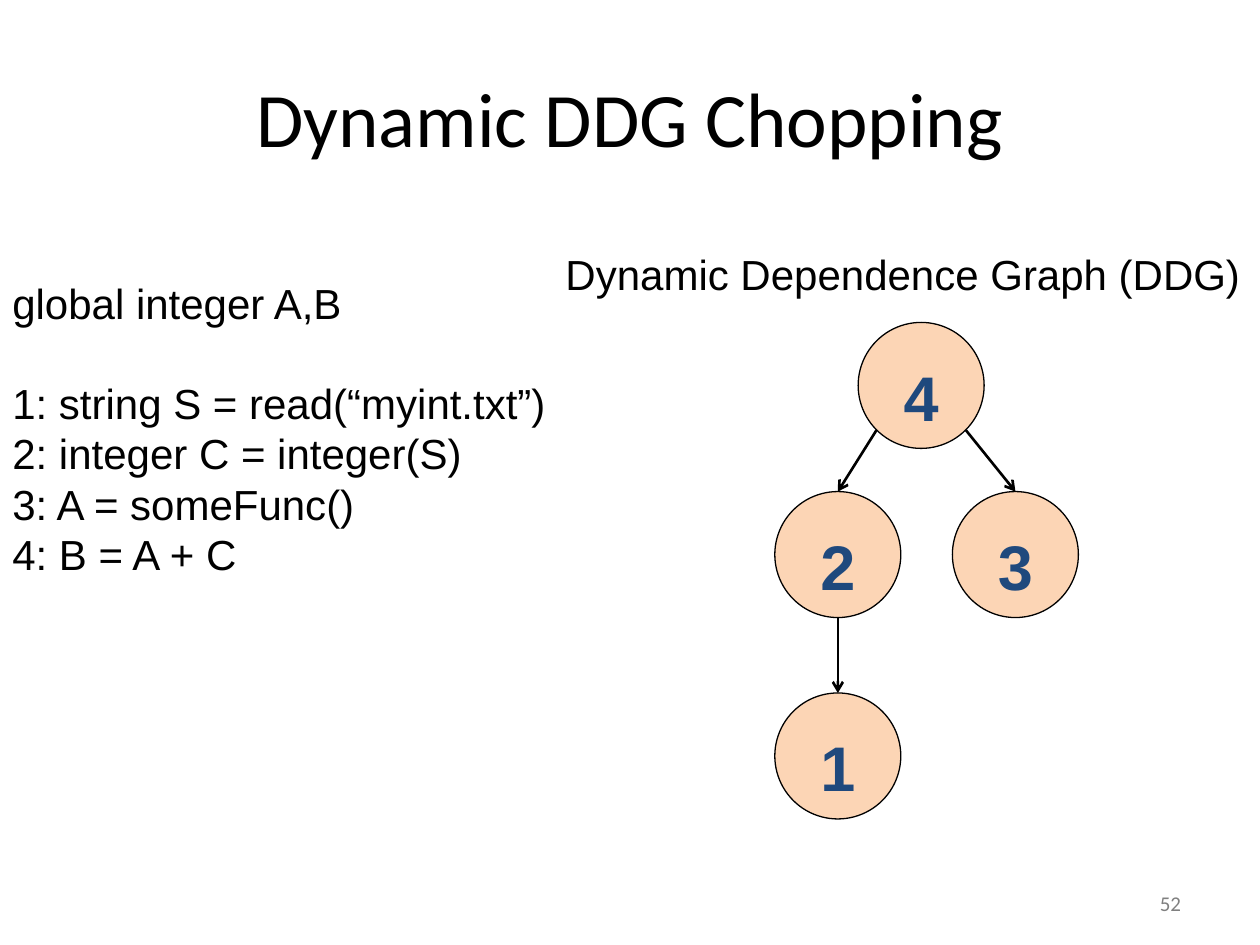
from math import sqrt

from pptx import Presentation
from pptx import util as u
from pptx.dml.color import RGBColor
from pptx.enum import shapes, text
from pptx.oxml.ns import qn
from lxml import etree

LEFT, MID, RIGHT = text.PP_ALIGN.LEFT, text.PP_ALIGN.CENTER, text.PP_ALIGN.RIGHT
TOP, CORE = text.MSO_ANCHOR.TOP, text.MSO_ANCHOR.MIDDLE


def tint(code):
    return RGBColor.from_string(code)


class Deck:
    ink, peach, navy, grey = "000000", "FCD5B5", "1F497D", "808080"
    size = 2.54  # node diameter in cm

    def __init__(self, show):
        self.slide = show.slides.add_slide(show.slide_layouts[6])
        self.items = self.slide.shapes

    def style(self, frame, face, size, color, align, bold=False):
        for para in frame.paragraphs:
            para.alignment = align
            for run in para.runs:
                font = run.font
                font.name, font.size, font.bold = face, u.Pt(size), bold
                font.color.rgb = tint(color)

    def label(self, words, box, face="Arial", size=24, color=ink,
              align=LEFT, anchor=TOP, wrap=False):
        frame = self.items.add_textbox(*map(u.Cm, box)).text_frame
        frame.text = words
        frame.word_wrap = wrap
        frame.vertical_anchor = anchor
        if not wrap:
            frame.auto_size = text.MSO_AUTO_SIZE.SHAPE_TO_FIT_TEXT
        self.style(frame, face, size, color, align)

    def node(self, name, left, top):
        oval = self.items.add_shape(
            shapes.MSO_SHAPE.OVAL, u.Cm(left), u.Cm(top),
            u.Cm(self.size), u.Cm(self.size))
        oval.shadow.inherit = False
        oval.fill.solid()
        oval.fill.fore_color.rgb = tint(self.peach)
        oval.line.color.rgb = tint(self.ink)
        oval.line.width = u.Pt(0.75)
        frame = oval.text_frame
        frame.text = name
        frame.vertical_anchor = TOP
        frame.margin_top = u.Cm(0.23)
        frame.paragraphs[0].line_spacing = 1.08
        self.style(frame, "Arial", 36, self.navy, MID, bold=True)

    def arrow(self, start, end):
        line = self.items.add_connector(
            shapes.MSO_CONNECTOR.STRAIGHT, *map(u.Cm, start + end))
        line.line.color.rgb = tint(self.ink)
        line.line.width = u.Pt(1.5)
        props = line._element.spPr
        tail = etree.SubElement(props.find(qn("a:ln")), qn("a:tailEnd"))
        tail.set("type", "arrow")
        etree.SubElement(props, qn("a:effectLst"))


def main():
    show = Presentation()
    show.slide_width, show.slide_height = u.Cm(25.4), u.Cm(19.05)
    deck = Deck(show)

    # Title
    deck.label("Dynamic DDG Chopping", (1.27, 0.76, 22.86, 3.18), "Calibri",
               44, align=MID, anchor=CORE, wrap=True)

    # Program
    deck.label("global integer A,B", (0, 5.46, 7.21, 1.27))
    code = ["1: string S = read(“myint.txt”)", "2: integer C = integer(S)",
            "3: A = someFunc()", "4: B = A + C"]
    deck.label("\n".join(code), (0, 7.48, 11.38, 4.36))

    # Dependence graph
    deck.label("Dynamic Dependence Graph (DDG)", (11.15, 4.88, 14.25, 1.27))
    spots = {"1": (15.62, 13.97), "4": (17.3, 6.5),
             "2": (15.62, 9.91), "3": (19.2, 9.91)}
    for name, (left, top) in spots.items():
        deck.node(name, left, top)

    # Arrows leave the rim at a diagonal or straight down, and end on top
    half = deck.size / 2
    diag = half / sqrt(2)
    for src, dst, dx, dy in [("4", "2", -diag, diag), ("4", "3", diag, diag),
                             ("2", "1", 0, half)]:
        (x, y), (left, top) = spots[src], spots[dst]
        deck.arrow((x + half + dx, y + half + dy), (left + half, top))

    # Page number
    deck.label("52", (18.14, 17.7, 5.92, 1.02), "Calibri", 12, deck.grey,
               RIGHT, CORE, wrap=True)

    show.save("out.pptx")


if __name__ == "__main__":
    main()
